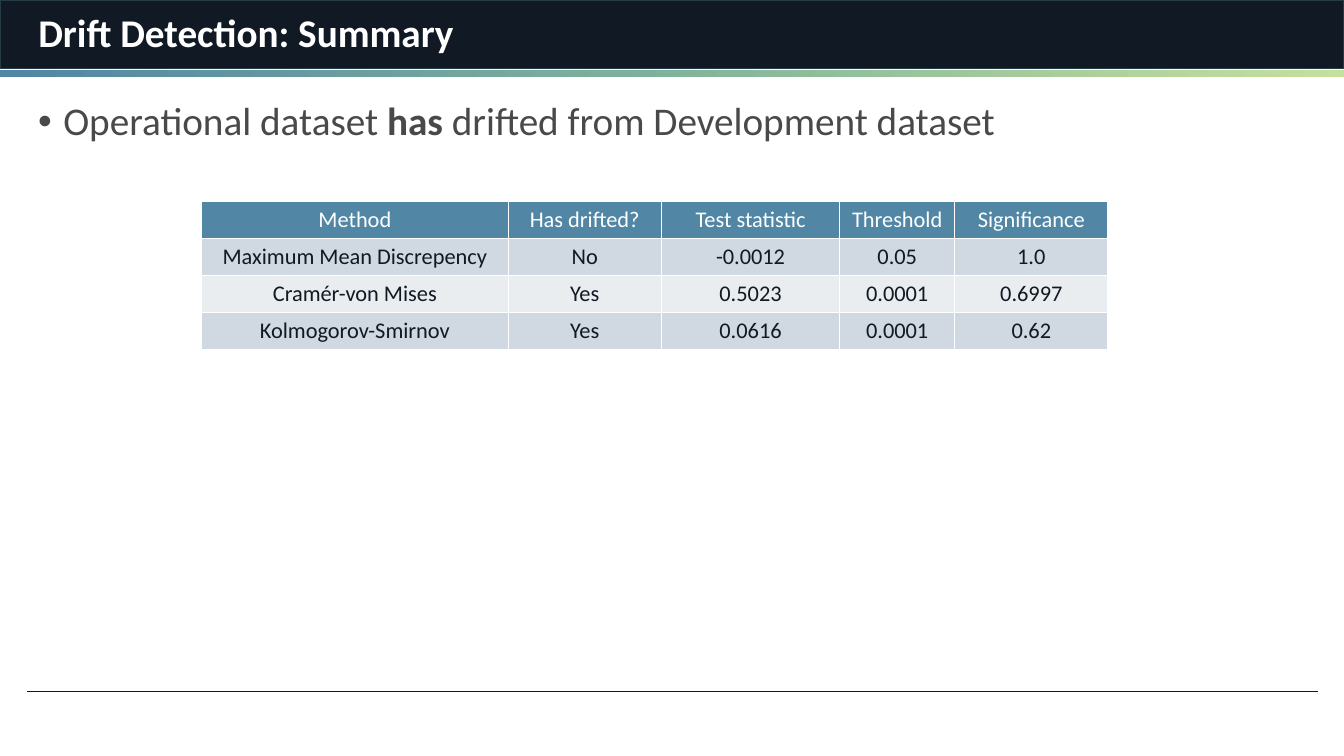
import copy

import pptx
import pptx.dml.color
import pptx.enum.shapes
import pptx.enum.text
import pptx.oxml
import pptx.oxml.ns
import pptx.util
from lxml import etree

Inches, Pt = pptx.util.Inches, pptx.util.Pt
RGBColor = pptx.dml.color.RGBColor
MIDDLE = pptx.enum.text.MSO_ANCHOR.MIDDLE
CENTER = pptx.enum.text.PP_ALIGN.CENTER
RECTANGLE = pptx.enum.shapes.MSO_SHAPE.RECTANGLE
qn = pptx.oxml.ns.qn

# Content
TITLE = "Drift Detection: Summary"
FINDING = [("Operational dataset ", False), ("has", True),
           (" drifted from Development dataset", False)]
RESULTS = [
    ("Method", "Has drifted?", "Test statistic", "Threshold", "Significance"),
    ("Maximum Mean Discrepency", "No", "-0.0012", "0.05", "1.0"),
    ("Cramér-von Mises", "Yes", "0.5023", "0.0001", "0.6997"),
    ("Kolmogorov-Smirnov", "Yes", "0.0616", "0.0001", "0.62"),
]
COLUMN_WIDTHS = (3.04, 1.52, 1.77, 1.14, 1.52)
ROW_HEIGHT = 0.35

# Style
FONT = "Calibri"
NAVY = RGBColor(0x10, 0x19, 0x24)
BANNER_EDGE = RGBColor(0x24, 0x3B, 0x48)
BLUE = RGBColor(0x51, 0x86, 0xA5)
TEAL = RGBColor(0x7C, 0xB0, 0x9B)
LIME = RGBColor(0xC5, 0xE0, 0x9D)
GRAY = RGBColor(0x49, 0x49, 0x49)
WHITE = RGBColor(0xFF, 0xFF, 0xFF)
BANDS = (RGBColor(0xD0, 0xD9, 0xE1), RGBColor(0xE9, 0xED, 0xF0))
STRIPE_STOPS = ((0, BLUE), (0.46, TEAL), (1, LIME))


def style(paragraph, size, color, bold=None):
    font = paragraph.font
    font.name, font.size, font.bold = FONT, Pt(size), bold
    font.color.rgb = color


def add_bar(slide, top, height):
    bar = slide.shapes.add_shape(RECTANGLE, 0, Inches(top), Inches(13.33), Inches(height))
    bar.shadow.inherit = False
    return bar


def add_text(slide, left, top, width, height):
    box = slide.shapes.add_textbox(Inches(left), Inches(top), Inches(width), Inches(height))
    box.text_frame.word_wrap = True
    box.text_frame.paragraphs[0].line_spacing = 0.9
    return box.text_frame


def add_borders(cell):
    properties = cell._tc.get_or_add_tcPr()
    for side in ("lnL", "lnR", "lnT", "lnB"):
        line = etree.SubElement(properties, qn(f"a:{side}"), w=str(Pt(1)))
        fill = etree.SubElement(line, qn("a:solidFill"))
        etree.SubElement(fill, qn("a:srgbClr"), val=str(WHITE))


def main():
    deck = pptx.Presentation()
    deck.slide_width, deck.slide_height = Inches(13.33), Inches(7.5)
    slide = deck.slides.add_slide(deck.slide_layouts[6])

    # Footer rule
    rule = slide.shapes.add_connector(pptx.enum.shapes.MSO_CONNECTOR.STRAIGHT,
                                      Inches(0.27), Inches(6.86), Inches(13.07), Inches(6.86))
    rule.line.color.rgb, rule.line.width = NAVY, Pt(0.75)
    etree.SubElement(rule._element.spPr, qn("a:effectLst"))

    # Banner and gradient stripe
    banner = add_bar(slide, 0, 0.68)
    banner.fill.solid()
    banner.fill.fore_color.rgb = NAVY
    banner.line.color.rgb, banner.line.width = BANNER_EDGE, Pt(1)

    stripe = add_bar(slide, 0.69, 0.07)
    stripe.line.fill.background()
    stripe.fill.gradient()
    stripe.fill.gradient_angle = 0
    stop_list = stripe._element.spPr.find(qn("a:gradFill")).find(qn("a:gsLst"))
    stop_list.append(copy.deepcopy(stop_list[0]))
    for stop, (position, color) in zip(stripe.fill.gradient_stops, STRIPE_STOPS):
        stop.position, stop.color.rgb = position, color

    # Finding
    finding = add_text(slide, 0.28, 0.96, 12.8, 5.68).paragraphs[0]
    indents = finding._p.get_or_add_pPr()
    indents.set("marL", str(Inches(0.25)))
    indents.set("indent", str(Inches(-0.25)))
    etree.SubElement(indents, qn("a:buFont"), typeface="Arial")
    etree.SubElement(indents, qn("a:buChar"), char="•")
    style(finding, 28, GRAY)
    for words, bold in FINDING:
        run = finding.add_run()
        run.text, run.font.bold = words, bold

    # Title
    title = add_text(slide, 0.38, 0.01, 12.95, 0.67)
    title.margin_left = title.margin_right = title.margin_top = title.margin_bottom = 0
    title.vertical_anchor = MIDDLE
    title.paragraphs[0].text = TITLE
    style(title.paragraphs[0], 28, WHITE, True)

    # Results table
    results = slide.shapes.add_table(
        len(RESULTS), len(COLUMN_WIDTHS), Inches(2), Inches(2),
        Inches(sum(COLUMN_WIDTHS)), Inches(ROW_HEIGHT * len(RESULTS))).table
    for column, width in zip(results.columns, COLUMN_WIDTHS):
        column.width = Inches(width)
    for r, values in enumerate(RESULTS):
        results.rows[r].height = Inches(ROW_HEIGHT)
        fill, color = (BANDS[(r - 1) % 2], NAVY) if r else (BLUE, WHITE)
        for c, value in enumerate(values):
            cell = results.cell(r, c)
            add_borders(cell)
            cell.fill.solid()
            cell.fill.fore_color.rgb = fill
            cell.vertical_anchor = MIDDLE
            cell.text = value
            paragraph = cell.text_frame.paragraphs[0]
            paragraph.alignment = CENTER
            style(paragraph, 16, color, False)

    deck.save("out.pptx")


if __name__ == "__main__":
    main()
